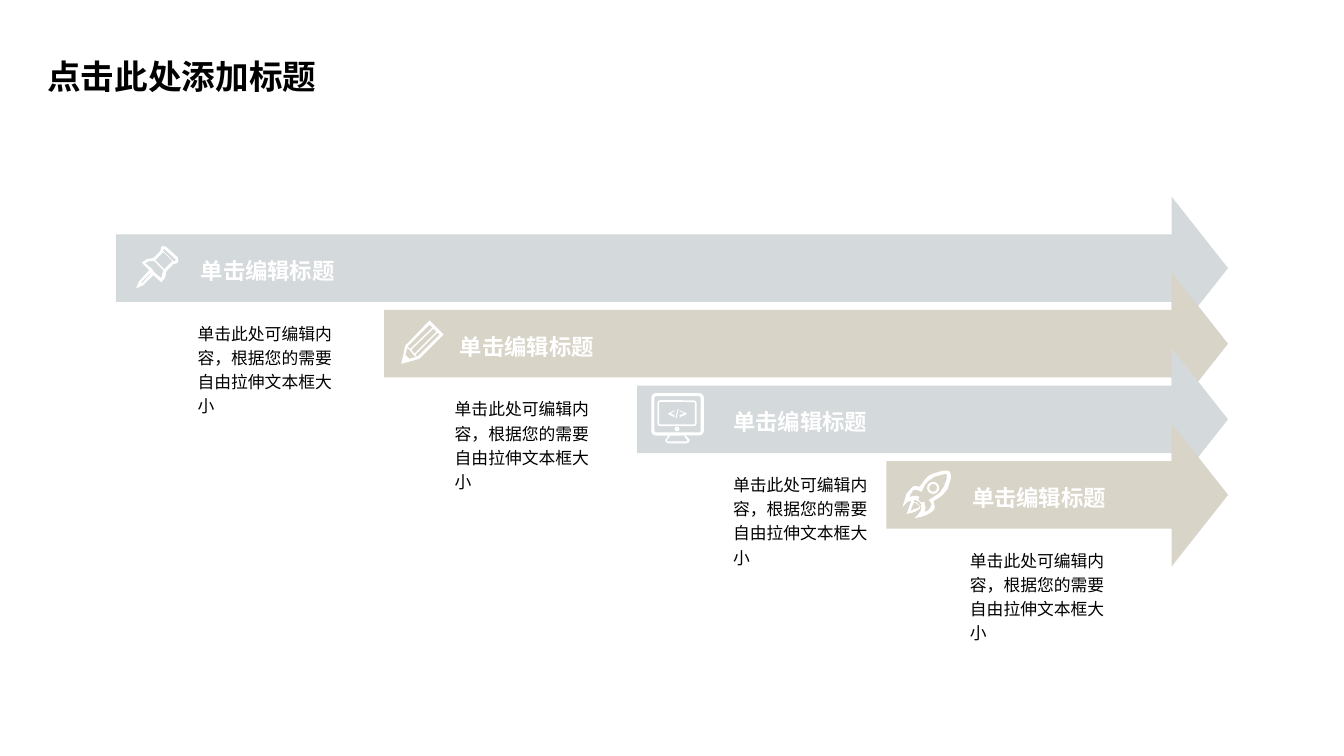
from pptx import Presentation
from pptx.dml.color import RGBColor
from pptx.enum.shapes import MSO_SHAPE
from pptx.enum.text import MSO_ANCHOR, PP_ALIGN
from pptx.util import Inches, Pt

WHITE, BLACK, GREY, SAND = "FFFFFF", "000000", "D4D9DB", "D9D4C8"
HEADING = "单击编辑标题"
DETAIL = "单击此处可编辑内容，根据您的需要自由拉伸文本框大小"
ARROW_TIP, FIRST_TOP, STEP_PITCH = 12.18, 1.95, 0.75
ARROW_HEIGHT, SHAFT_HEIGHT, HEAD_LENGTH = 1.42, 0.67, 0.56

PIN = [
    [(30, 26), (37, 19), (41, 18), (42, 15), (41, 12), (30, 2), (27, 1), (25, 2), (24, 6),
     (17, 13), (11, 14), (6, 17), (6, 18), (13, 25), (3, 36), (0, 43), (7, 40), (17, 30),
     (25, 37), (26, 36), (29, 32)],
    [(28, 4), (39, 14), (39, 16), (37, 16), (27, 6), (27, 4)],
    [(28, 24), (19, 15), (27, 7), (36, 16)],
    [(6, 38), (5, 37), (15, 27), (15, 28)],
    [(19, 28), (15, 23), (9, 18), (13, 16), (17, 16), (18, 16), (27, 25), (25, 33)],
]
PENCIL = [
    [(42, 14), (28, 0), (4, 25), (0, 43), (18, 38)],
    [(16, 36), (14, 34), (36, 12), (38, 14)],
    [(8, 38), (4, 34), (6, 27), (8, 29), (13, 35), (15, 36)],
    [(35, 11), (13, 33), (10, 29), (32, 8)],
    [(28, 4), (31, 7), (9, 28), (6, 26)],
]
MONITOR = [
    [(17, 42), (15, 45), (14, 46), (14, 48), (17, 50), (35, 50), (38, 48), (38, 46),
     (37, 45), (34, 42)],
    [(19, 42), (16, 46), (15, 47), (17, 48), (35, 48), (36, 47), (35, 46), (32, 42)],
    [(17, 21), (23, 24), (23, 22), (19, 20), (23, 18), (23, 17), (17, 20)],
    [(26, 16), (27, 16), (25, 25), (24, 25)],
    [(28, 18), (33, 20), (28, 22), (28, 24), (35, 21), (35, 20), (28, 17)],
]
ROCKET = [
    [(0, 37), (2, 31), (4, 24), (10, 17), (13, 16), (17, 17), (20, 13), (23, 9), (26, 6),
     (30, 4), (40, 1), (45, 1), (47, 2), (48, 5), (48, 9), (45, 19), (40, 25), (36, 28),
     (31, 31), (32, 36), (32, 39), (29, 42), (24, 45), (18, 47), (12, 48), (16, 44),
     (18, 41), (19, 37), (18, 37), (12, 32), (11, 31), (12, 30), (8, 31), (5, 32)],
    [(32, 7), (26, 11), (23, 14), (20, 20), (19, 22), (17, 21), (14, 20), (11, 20), (9, 23),
     (7, 27), (11, 26), (15, 26), (17, 27), (16, 29), (16, 30), (19, 33), (20, 32), (22, 32),
     (22, 34), (23, 38), (22, 42), (26, 40), (28, 37), (29, 34), (27, 31), (26, 30), (28, 29),
     (37, 23), (41, 17), (44, 9), (44, 4), (39, 5)],
    [(4, 44), (5, 42), (7, 36), (9, 31), (13, 30), (17, 32), (19, 35), (17, 39), (12, 42)],
    [(15, 33), (13, 32), (11, 33), (8, 41), (12, 39), (16, 38), (17, 36)],
]
MONITOR_RINGS = [
    (MSO_SHAPE.ROUNDED_RECTANGLE, 0.015, 0.015, 0.49, 0.39, 2.25),
    (MSO_SHAPE.ROUNDED_RECTANGLE, 0.07, 0.08, 0.37, 0.24, 1.25),
    (MSO_SHAPE.OVAL, 0.24, 0.34, 0.03, 0.03, 1.25),
]
ROCKET_RINGS = [(MSO_SHAPE.OVAL, 0.255, 0.13, 0.1, 0.1, 1.5)]

# Each step: arrow left, colour, heading right, detail left, icon left, icon drop, outlines, rings
STEPS = [
    (1.15, GREY, 3.32, 1.96, 1.35, 0.48, PIN, []),
    (3.81, SAND, 5.89, 4.51, 3.98, 0.48, PENCIL, []),
    (6.32, GREY, 8.6, 7.27, 6.46, 0.45, MONITOR, MONITOR_RINGS),
    (8.79, SAND, 10.97, 9.62, 8.95, 0.46, ROCKET, ROCKET_RINGS),
]


def color(value):
    """Turn a hex string into a colour."""
    return RGBColor.from_string(value)


def paint(part, fill):
    """Fill a shape flat, without line or shadow."""
    part.shadow.inherit = False
    part.fill.solid()
    part.fill.fore_color.rgb = color(fill)
    part.line.fill.background()


def add_title(slide, left, top, width, height):
    """Place and format the slide title."""
    title = slide.shapes.title
    title.left, title.top = Inches(left), Inches(top)
    title.width, title.height = Inches(width), Inches(height)
    title.text_frame.text = "点击此处添加标题"
    title.text_frame.vertical_anchor = MSO_ANCHOR.MIDDLE
    paragraph = title.text_frame.paragraphs[0]
    paragraph.alignment = PP_ALIGN.LEFT
    paragraph.font.name = "Noto Sans CJK SC"
    paragraph.font.size = Pt(24)
    paragraph.font.bold = True
    paragraph.font.color.rgb = color(BLACK)


def add_text(slide, left, top, width, height, words, size, ink, bold, alignment):
    """Add a wrapped text box without insets."""
    box = slide.shapes.add_textbox(Inches(left), Inches(top), Inches(width), Inches(height))
    frame = box.text_frame
    frame.word_wrap = True
    frame.margin_left = frame.margin_right = frame.margin_top = frame.margin_bottom = 0
    frame.text = words
    paragraph = frame.paragraphs[0]
    paragraph.alignment = alignment
    paragraph.line_spacing = 1.2
    paragraph.font.name = "Arial"
    paragraph.font.size = Pt(size)
    paragraph.font.bold = bold
    paragraph.font.color.rgb = color(ink)


def add_icon(slide, left, top, outlines, rings):
    """Draw a white icon from outlines in hundredths of an inch and stroked rings."""
    first, *others = outlines
    builder = slide.shapes.build_freeform(*first[0], scale=Inches(0.01))
    builder.add_line_segments(first[1:], close=True)
    for outline in others:
        builder.move_to(*outline[0])
        builder.add_line_segments(outline[1:], close=True)
    paint(builder.convert_to_shape(Inches(left), Inches(top)), WHITE)
    for kind, across, down, width, height, stroke in rings:
        ring = slide.shapes.add_shape(kind, Inches(left + across), Inches(top + down),
                                      Inches(width), Inches(height))
        ring.shadow.inherit = False
        ring.fill.background()
        ring.line.color.rgb = color(WHITE)
        ring.line.width = Pt(stroke)
        if kind == MSO_SHAPE.ROUNDED_RECTANGLE:
            ring.adjustments[0] = 0.08


def add_arrow(slide, left, top, width, fill):
    """Add one step's arrow."""
    arrow = slide.shapes.add_shape(MSO_SHAPE.RIGHT_ARROW, Inches(left), Inches(top),
                                   Inches(width), Inches(ARROW_HEIGHT))
    arrow.adjustments[0] = SHAFT_HEIGHT / ARROW_HEIGHT
    arrow.adjustments[1] = HEAD_LENGTH / ARROW_HEIGHT
    paint(arrow, fill)


def add_step(slide, top, step):
    """Add one arrow with its icon, heading and detail."""
    left, fill, heading_right, detail_left, icon_left, icon_drop, outlines, rings = step
    add_arrow(slide, left, top, ARROW_TIP - left, fill)
    add_icon(slide, icon_left, top + icon_drop, outlines, rings)
    add_text(slide, heading_right - 1.42, top + 0.55, 1.42, 0.3,
             HEADING, 16, WHITE, True, PP_ALIGN.RIGHT)
    add_text(slide, detail_left, top + 1.22, 1.42, 0.97,
             DETAIL, 12, BLACK, False, PP_ALIGN.LEFT)


def main():
    """Build and save the slide."""
    deck = Presentation()
    deck.slide_width, deck.slide_height = Inches(13.33), Inches(7.5)
    slide = deck.slides.add_slide(deck.slide_layouts[5])
    add_title(slide, 0.37, 0.5, 3.01, 0.5)
    for row, step in enumerate(STEPS):
        add_step(slide, FIRST_TOP + row * STEP_PITCH, step)
    deck.save("out.pptx")


if __name__ == "__main__":
    main()
